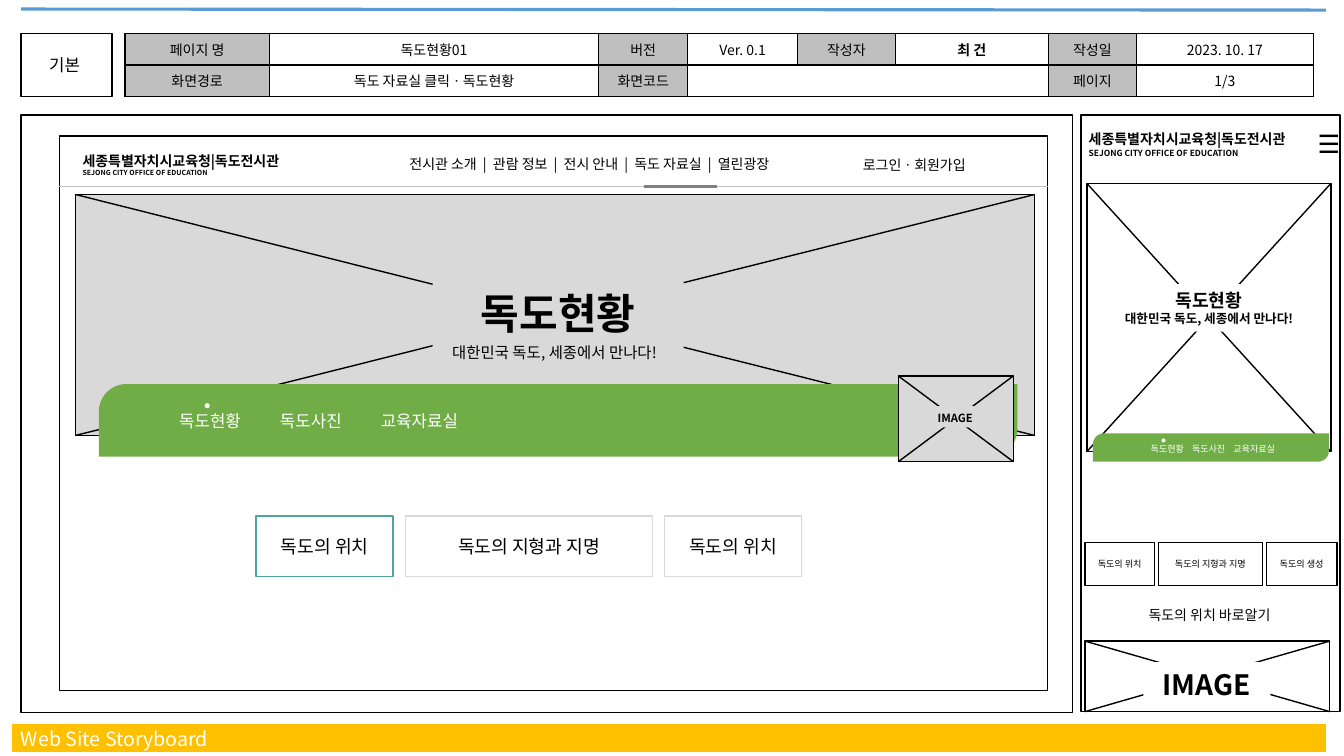
from dataclasses import dataclass
from itertools import pairwise

from lxml.etree import SubElement
from pptx import Presentation
from pptx.dml.color import RGBColor
from pptx.enum.shapes import MSO_CONNECTOR, MSO_SHAPE
from pptx.enum.text import MSO_ANCHOR, MSO_AUTO_SIZE, PP_ALIGN
from pptx.oxml.ns import qn
from pptx.util import Inches, Pt

FONT = "Noto Sans CJK KR"
BLACK, WHITE, GRAY, GREEN = "000000", "FFFFFF", "D9D9D9", "70AD47"
LABEL_GRAY = "BFBFBF"
OFFICE = "세종특별자치시교육청|독도전시관"
OFFICE_ENGLISH = "SEJONG CITY OFFICE OF EDUCATION"
TAGLINE = "대한민국 독도, 세종에서 만나다!"
TABS = "독도현황\t독도사진\t교육자료실"
MENU = ["전시관 소개", "관람 정보", "전시 안내", "독도 자료실", "열린광장"]


@dataclass
class Box:
    left: float
    top: float
    width: float
    height: float

    def inside(self, left, top, width, height):
        return Box(self.left + left, self.top + top, width, height)

    def lengths(self):
        return [Inches(value) for value in (self.left, self.top, self.width, self.height)]


def color(value):
    return RGBColor.from_string(value)


def set_attributes(target, values):
    for name, value in values.items():
        setattr(target, name, value)


def write(frame, lines, size, ink=BLACK, bold=False, align=PP_ALIGN.CENTER, tab_step=None):
    for index, line in enumerate(lines):
        text, line_size = line if isinstance(line, tuple) else (line, size)
        paragraph = frame.paragraphs[0] if index == 0 else frame.add_paragraph()
        paragraph.alignment = align
        if tab_step:
            stops = SubElement(paragraph._p.get_or_add_pPr(), qn("a:tabLst"))
            for count in (1, 2):
                SubElement(stops, qn("a:tab"), pos=str(Inches(tab_step * count)), algn="l")
        run = paragraph.add_run()
        run.text = text
        set_attributes(run.font, {"size": Pt(line_size), "bold": bold, "name": FONT})
        run.font.color.rgb = color(ink)
        SubElement(run.font._element, qn("a:ea"), typeface=FONT)


def add_text(slide, box, lines, size, **style):
    shape = slide.shapes.add_textbox(*box.lengths())
    set_attributes(shape.text_frame, {"word_wrap": True, "auto_size": MSO_AUTO_SIZE.SHAPE_TO_FIT_TEXT})
    write(shape.text_frame, lines, size, **style)
    return shape


def add_mask(slide, box, fill, lines, size):
    shape = add_text(slide, box, lines, size, bold=True)
    shape.fill.solid()
    shape.fill.fore_color.rgb = color(fill)


def add_block(slide, box, fill=None, line=None, kind=MSO_SHAPE.RECTANGLE):
    shape = slide.shapes.add_shape(kind, *box.lengths())
    shape.shadow.inherit = False
    if fill:
        shape.fill.solid()
        shape.fill.fore_color.rgb = color(fill)
    else:
        shape.fill.background()
    if line:
        shape.line.color.rgb = color(line)
        shape.line.width = Pt(1)
    else:
        shape.line.fill.background()
    return shape


def add_line(slide, start, end, ink=BLACK, width=1):
    points = [Inches(value) for value in (*start, *end)]
    connector = slide.shapes.add_connector(MSO_CONNECTOR.STRAIGHT, *points)
    connector.line.color.rgb = color(ink)
    connector.line.width = Pt(width)
    SubElement(connector._element.spPr, qn("a:effectLst"))


def add_crossed_frame(slide, box, fill):
    add_block(slide, box, fill, BLACK)
    right, bottom = box.left + box.width, box.top + box.height
    add_line(slide, (box.left, box.top), (right, bottom))
    add_line(slide, (box.left, bottom), (right, box.top))


def add_button(slide, box, text, size, line):
    frame = add_block(slide, box, None, line).text_frame
    set_attributes(frame, {"word_wrap": True, "vertical_anchor": MSO_ANCHOR.MIDDLE,
                           "margin_left": 0, "margin_right": 0, "margin_top": 0, "margin_bottom": 0})
    write(frame, [text], size)


def add_tab_bar(slide, box, text_box, dot_box, size, tab_step):
    bar = add_block(slide, box, GREEN, kind=MSO_SHAPE.ROUND_2_DIAG_RECTANGLE)
    bar.adjustments[0], bar.adjustments[1] = 0.379, 0
    add_text(slide, text_box, [TABS], size, ink=WHITE, tab_step=tab_step)
    add_block(slide, dot_box, WHITE, kind=MSO_SHAPE.OVAL)


def style_cell(cell, text, is_label):
    set_attributes(cell, {"margin_left": 0, "margin_right": 0, "margin_top": 0, "margin_bottom": 0,
                          "vertical_anchor": MSO_ANCHOR.MIDDLE})
    properties = cell._tc.get_or_add_tcPr()
    for side in ("lnL", "lnR", "lnT", "lnB"):
        border = SubElement(properties, qn(f"a:{side}"), w=str(Pt(1)))
        SubElement(SubElement(border, qn("a:solidFill")), qn("a:srgbClr"), val=BLACK)
    if is_label:
        cell.fill.solid()
        cell.fill.fore_color.rgb = color(LABEL_GRAY)
    else:
        cell.fill.background()
    write(cell.text_frame, [text], 10, bold=text == "최 건")


def build_header(slide, box):
    add_line(slide, (box.left, 0.09), (13.15, 0.1), "5B9BD5", 2.25)
    add_block(slide, box.inside(0, 0, 0.9, 0.63), WHITE, BLACK)
    add_text(slide, box.inside(0.18, 0.16, 0.54, 0.36), ["기본"], 12, align=PP_ALIGN.LEFT)
    rows = [["페이지 명", "독도현황01", "버전", "Ver. 0.1", "작성자", "최 건", "작성일", "2023. 10. 17"],
            ["화면경로", "독도 자료실 클릭ㆍ독도현황", "화면코드", "", "", "", "페이지", "1/3"]]
    edges = [1.24, 2.67, 5.94, 6.82, 7.91, 8.88, 10.4, 11.27, 13.03]
    table_box = box.inside(1.03, 0, edges[-1] - edges[0], 0.63)
    table = slide.shapes.add_table(2, len(rows[0]), *table_box.lengths()).table
    set_attributes(table, {"first_row": False, "horz_banding": False})
    for column, (start, end) in zip(table.columns, pairwise(edges)):
        column.width = Inches(end - start)
    table.cell(1, 3).merge(table.cell(1, 5))
    for row_index, row in enumerate(rows):
        for column_index, text in enumerate(row):
            is_label = column_index % 2 == 0 and bool(text)
            style_cell(table.cell(row_index, column_index), text, is_label)


def build_footer(slide, box):
    middle = box.top + box.height / 2
    add_line(slide, (box.left, middle), (box.left + box.width, middle), "FFC000", 20)
    add_text(slide, box.inside(-0.01, -0.02, 2.61, 0.34), ["Web Site Storyboard"], 14,
             ink=WHITE, align=PP_ALIGN.LEFT)


def build_title(slide, box):
    title = slide.shapes.title
    title.element.getparent().append(title.element)
    left, top, width, height = box.lengths()
    set_attributes(title, {"left": left, "top": top, "width": width, "height": height})
    title.fill.solid()
    title.fill.fore_color.rgb = color(GRAY)
    set_attributes(title.text_frame, {"word_wrap": True, "vertical_anchor": MSO_ANCHOR.TOP,
                                      "auto_size": MSO_AUTO_SIZE.SHAPE_TO_FIT_TEXT})
    write(title.text_frame, ["독도현황"], 30, bold=True)


def build_desktop(slide, box):
    add_block(slide, box, WHITE, BLACK)
    add_block(slide, box.inside(0.38, 0.21, 9.8, 5.5), WHITE, BLACK)
    add_crossed_frame(slide, box.inside(0.54, 0.79, 9.51, 2.39), GRAY)
    add_text(slide, box.inside(0.51, 0.32, 2.52, 0.35), [OFFICE, (OFFICE_ENGLISH, 5)], 10,
             bold=True, align=PP_ALIGN.LEFT)
    add_text(slide, box.inside(3.41, 0.35, 4.45, 0.27), ["  |  ".join(MENU)], 10)
    add_text(slide, box.inside(8.25, 0.36, 1.32, 0.27), ["로그인ㆍ회원가입"], 10, align=PP_ALIGN.LEFT)
    build_title(slide, box.inside(4.08, 1.66, 2.49, 0.61))
    add_text(slide, box.inside(3.86, 2.21, 2.86, 0.29), [TAGLINE], 11)
    add_tab_bar(slide, box.inside(0.77, 2.67, 9.11, 0.72), box.inside(1.08, 2.89, 3.74, 0.3),
                box.inside(1.82, 2.86, 0.05, 0.05), 12, 1)
    add_crossed_frame(slide, box.inside(8.7, 2.59, 1.14, 0.85), GRAY)
    add_mask(slide, box.inside(8.95, 2.89, 0.63, 0.21), GRAY, ["IMAGE"], 8)
    rule = box.top + 0.71
    add_line(slide, (box.left + 0.38, rule), (box.left + 10.18, rule), LABEL_GRAY, 0.5)
    add_line(slide, (box.left + 6.18, rule), (box.left + 6.9, rule), "808080", 2.25)
    left = 2.33
    for text, width, line in [("독도의 위치", 1.36, "4CA5A2"), ("독도의 지형과 지명", 2.45, GRAY),
                              ("독도의 위치", 1.36, GRAY)]:
        add_button(slide, box.inside(left, 3.98, width, 0.6), text, 13, line)
        left += width + 0.12


def build_mobile(slide, box):
    add_block(slide, box, WHITE, BLACK)
    add_crossed_frame(slide, box.inside(0.06, 0.68, 2.42, 2.66), WHITE)
    add_mask(slide, box.inside(0.22, 1.68, 2.1, 0.47), WHITE, ["독도현황", (TAGLINE, 9)], 13)
    add_crossed_frame(slide, box.inside(0.04, 5.22, 2.43, 0.7), WHITE)
    add_mask(slide, box.inside(0.62, 5.43, 1.26, 0.44), WHITE, ["IMAGE"], 20)
    left = 0.04
    for text, width in [("독도의 위치", 0.69), ("독도의 지형과 지명", 1.03), ("독도의 생성", 0.7)]:
        add_button(slide, box.inside(left, 4.24, width, 0.43), text, 6.5, BLACK)
        left += width + 0.04
    add_text(slide, box.inside(0.42, 4.83, 1.71, 0.27), ["독도의 위치 바로알기"], 10)
    add_text(slide, box.inside(2.25, 0.08, 0.3, 0.44), ["☰"], 18)
    add_text(slide, box.inside(-0.02, 0.11, 2.34, 0.4), [OFFICE, (OFFICE_ENGLISH, 6)], 10,
             bold=True, align=PP_ALIGN.LEFT)
    add_tab_bar(slide, box.inside(0.12, 3.16, 2.34, 0.28), box.inside(0.33, 3.21, 1.96, 0.21),
                box.inside(0.8, 3.21, 0.04, 0.04), 6.5, 0.41)


def main():
    presentation = Presentation()
    set_attributes(presentation, {"slide_width": Inches(13.33), "slide_height": Inches(7.5)})
    slide = presentation.slides.add_slide(presentation.slide_layouts[5])
    build_header(slide, Box(0.21, 0.33, 12.82, 0.63))
    build_footer(slide, Box(0.12, 7.18, 13.03, 0.28))
    build_desktop(slide, Box(0.21, 1.14, 10.43, 5.93))
    build_mobile(slide, Box(10.72, 1.14, 2.57, 5.92))
    presentation.save("out.pptx")


if __name__ == "__main__":
    main()
